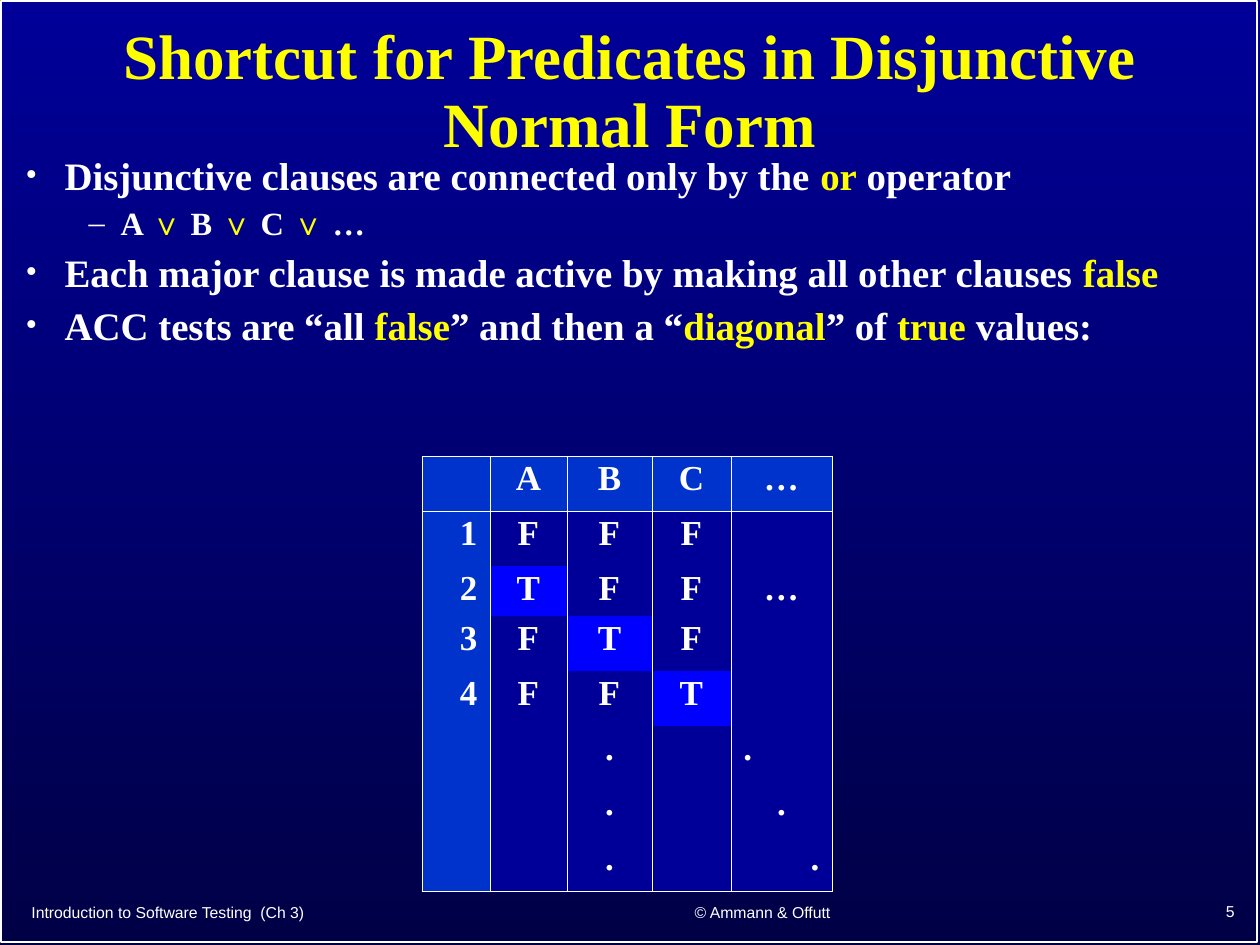
from lxml.etree import SubElement
from pptx import Presentation
from pptx.dml.color import RGBColor
from pptx.enum.shapes import MSO_SHAPE
from pptx.enum.text import MSO_ANCHOR, MSO_AUTO_SIZE, PP_ALIGN
from pptx.oxml.ns import qn
from pptx.util import Pt

SCALE = 914400 / 126  # EMU in one px
WHITE = RGBColor(0xFF, 0xFF, 0xFF)
YELLOW = RGBColor(0xFF, 0xFF, 0x00)
NAVY = RGBColor(0x00, 0x00, 0x99)
DARK = RGBColor(0x00, 0x00, 0x47)
HEAD = RGBColor(0x00, 0x33, 0xCC)
MARK = RGBColor(0x00, 0x00, 0xFF)
SERIF, SANS = "Times New Roman", "Arial"
LEFT, MID, RIGHT = PP_ALIGN.LEFT, PP_ALIGN.CENTER, PP_ALIGN.RIGHT

# Level and text; words between asterisks are yellow
POINTS = [
    (0, "Disjunctive clauses are connected only by the *or* operator"),
    (1, "A *∨* B *∨* C *∨* …"),
    (0, "Each major clause is made active by making all other clauses *false*"),
    (0, "ACC tests are “all *false*” and then a “*diagonal*” of *true* values:"),
]
# Per level: bullet, bullet size %, indent px, hanging px, text size, space before
LEVELS = [("•", 85, 39, 39, 22.2, 9), ("–", 100, 95, 32, 18.5, 7.5)]

ROWS = [
    ["", "A", "B", "C", "…"],
    ["1", "F", "F", "F", ""],
    ["2", "T", "F", "F", "…"],
    ["3", "F", "T", "F", ""],
    ["4", "F", "F", "T", ""],
    ["", "", ".", "", "."],
    ["", "", ".", "", "."],
    ["", "", ".", "", "."],
]
WIDTHS = [68, 77, 85, 79, 101]
HEIGHTS = [55, 55, 50] + [55] * 5
DOTS = {5: LEFT, 6: MID, 7: RIGHT}  # slanting dots in the last column


def px(n):
    return round(n * SCALE)


def place(shape, box):
    shape.left, shape.top, shape.width, shape.height = map(px, box)


def style(font, name, size, color, bold=False):
    font.name, font.size, font.bold = name, Pt(size), bold
    font.color.rgb = color


def add_back(slide, box):
    fill = slide.background.fill
    fill.gradient()
    fill.gradient_angle = 270
    for stop, color in zip(fill.gradient_stops, (NAVY, DARK)):
        stop.color.rgb = color
    frame = slide.shapes.add_shape(MSO_SHAPE.RECTANGLE, *map(px, box))
    frame.shadow.inherit = False
    frame.fill.background()
    frame.line.color.rgb = WHITE
    frame.line.width = Pt(1)


def add_title(slide, box, text):
    title = slide.shapes.title
    place(title, box)
    frame = title.text_frame
    frame.text = text
    frame.auto_size = MSO_AUTO_SIZE.NONE
    frame.vertical_anchor = MSO_ANCHOR.MIDDLE
    para = frame.paragraphs[0]
    para.alignment, para.line_spacing = MID, 0.9
    style(para.runs[0].font, SERIF, 36, YELLOW, True)


def set_bullet(para, char, size, left, hang):
    props = para._p.get_or_add_pPr()
    props.set("marL", str(px(left)))
    props.set("indent", str(-px(hang)))
    color = SubElement(props, qn("a:buClr"))
    SubElement(color, qn("a:srgbClr"), val=str(WHITE))
    SubElement(props, qn("a:buSzPct"), val=str(size * 1000))
    SubElement(props, qn("a:buFont"), typeface=SERIF)
    SubElement(props, qn("a:buChar"), char=char)


def add_list(slide, box, points):
    body = slide.placeholders[1]
    place(body, box)
    frame = body.text_frame
    frame.auto_size = MSO_AUTO_SIZE.NONE
    frame.vertical_anchor = MSO_ANCHOR.TOP
    for i, (level, text) in enumerate(points):
        para = frame.add_paragraph() if i else frame.paragraphs[0]
        char, part, left, hang, size, gap = LEVELS[level]
        para.level = level
        set_bullet(para, char, part, left, hang)
        para.alignment, para.line_spacing = LEFT, 0.8
        para.space_before = Pt(gap if i else 0)
        for j, piece in enumerate(text.split("*")):
            if piece:
                run = para.add_run()
                run.text = piece
                face = SANS if piece == "∨" else SERIF
                style(run.font, face, size, YELLOW if j % 2 else WHITE, True)


def set_edges(cell, shown):
    props = cell._tc.get_or_add_tcPr()
    for side in "LRTB":
        line = SubElement(props, qn("a:ln" + side), w=str(Pt(0.45)))
        if side in shown:
            fill = SubElement(line, qn("a:solidFill"))
            SubElement(fill, qn("a:srgbClr"), val=str(WHITE))
        else:
            SubElement(line, qn("a:noFill"))


def add_grid(slide, box, rows):
    table = slide.shapes.add_table(len(rows), len(rows[0]), *map(px, box)).table
    table.horz_banding = False
    for col, width in zip(table.columns, WIDTHS):
        col.width = px(width)
    for row, height in zip(table.rows, HEIGHTS):
        row.height = px(height)
    last = len(rows) - 1
    for r, row in enumerate(rows):
        # Only the head and the outer frame have level lines
        edges = "LR" + ("T" if r < 2 else "") + ("B" if r in (0, last) else "")
        for c, text in enumerate(row):
            cell = table.cell(r, c)
            set_edges(cell, edges)
            cell.fill.solid()
            cell.fill.fore_color.rgb = (
                HEAD if r == 0 or c == 0 else MARK if text == "T" else NAVY)
            if text:
                cell.text = text
                para = cell.text_frame.paragraphs[0]
                para.line_spacing = 0.9
                para.alignment = (
                    RIGHT if c == 0 else DOTS.get(r, MID) if c == 4 else MID)
                style(para.runs[0].font, SERIF, 20, WHITE, True)


def add_foot(slide, box, text, align):
    note = slide.shapes.add_textbox(*map(px, box))
    frame = note.text_frame
    frame.text = text
    frame.word_wrap = True
    frame.vertical_anchor = MSO_ANCHOR.MIDDLE
    para = frame.paragraphs[0]
    para.alignment = align
    style(para.runs[0].font, SANS, 9, WHITE)


def main():
    deck = Presentation()
    deck.slide_width, deck.slide_height = px(1260), px(945)
    slide = deck.slides.add_slide(deck.slide_layouts[1])
    add_back(slide, (1, 1, 1256, 941))
    add_title(slide, (16, 14, 1227, 158),
              "Shortcut for Predicates in Disjunctive Normal Form")
    add_list(slide, (13, 154, 1236, 246), POINTS)
    add_foot(slide, (19, 888, 522, 48),
             "Introduction to Software Testing  (Ch 3)", LEFT)
    add_foot(slide, (563, 888, 399, 49), "© Ammann & Offutt", MID)
    add_foot(slide, (985, 886, 262, 50), "5", RIGHT)
    add_grid(slide, (422, 456, sum(WIDTHS), sum(HEIGHTS)), ROWS)
    deck.save("out.pptx")


if __name__ == "__main__":
    main()
